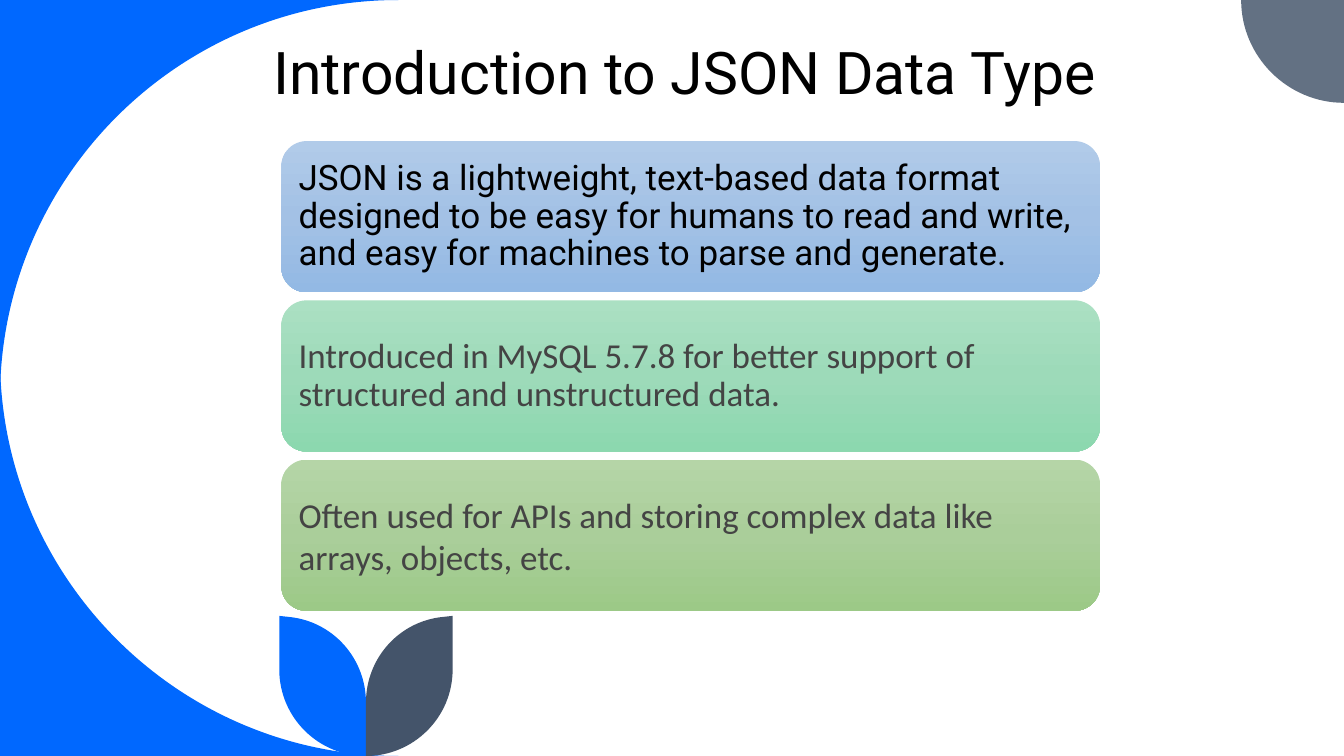
from copy import deepcopy

from pptx import Presentation
from pptx.dml.color import RGBColor
from pptx.enum import shapes, text
from pptx.oxml.ns import qn
from pptx.util import Inches, Pt

BLUE = RGBColor(0x00, 0x68, 0xFF)
GREY = RGBColor(0x63, 0x71, 0x83)
SLATE = RGBColor(0x44, 0x54, 0x6A)
BLACK = RGBColor(0x00, 0x00, 0x00)
CHARCOAL = RGBColor(0x44, 0x44, 0x44)
SKY = [RGBColor(0xB1, 0xCB, 0xE9), RGBColor(0xA3, 0xC1, 0xE5), RGBColor(0x93, 0xB9, 0xE4)]
MINT = [RGBColor(0xAB, 0xE0, 0xC3), RGBColor(0x9D, 0xDA, 0xB9), RGBColor(0x8C, 0xD8, 0xAF)]
LEAF = [RGBColor(0xB5, 0xD5, 0xA7), RGBColor(0xAA, 0xCE, 0x9A), RGBColor(0x9C, 0xC9, 0x87)]


def format_text(paragraph, words, color, font):
    span = paragraph.add_run()
    span.text = words
    for name, value in font.items():
        setattr(span.font, name, value)
    span.font.color.rgb = color


deck = Presentation()
deck.slide_width, deck.slide_height = Inches(13.33), Inches(7.5)
page = deck.slides.add_slide(deck.slide_layouts[5])

left_leaf = [
    (2.77, 6.11), (2.77, 6.64), (2.77, 7.12), (3.16, 7.5), (3.63, 7.5),
    (3.63, 6.97), (3.63, 6.53), (3.3, 6.16), (2.86, 6.12),
]
right_leaf = [(2 * 3.63 - x, y) for x, y in left_leaf]
decorations = [
    (BLUE, [2], [(0, 0), (3.95, 0), (1.77, 0), (0, 1.77), (0, 3.95)]),
    (BLUE, [2], [(0, 7.5), (0, 3.55), (0, 5.73), (1.77, 7.5), (3.95, 7.5)]),
    (GREY, [2], [(13.33, 0), (12.31, 0), (12.31, 0.56), (12.77, 1.02), (13.33, 1.02)]),
    (BLUE, [2, 6], left_leaf),
    (SLATE, [2, 6], right_leaf),
]
for color, bends, outline in decorations:
    points = [(Inches(x), Inches(y)) for x, y in outline]
    builder = page.shapes.build_freeform(*points[0])
    builder.add_line_segments(points[1:], close=True)
    decoration = builder.convert_to_shape()
    segments = decoration.element.xpath(".//a:path")[0]
    for bend in reversed(bends):
        curve, *others = segments[bend:bend + 3]
        curve.tag = qn("a:cubicBezTo")
        for other in others:
            curve.append(other[0])
            segments.remove(other)
    decoration.shadow.inherit = False
    decoration.fill.solid()
    decoration.fill.fore_color.rgb = color
    decoration.line.fill.background()

title = page.shapes.title
title.left, title.top, title.width, title.height = map(Inches, (2.61, 0.3, 9.56, 0.81))
title.text_frame.auto_size = text.MSO_AUTO_SIZE.SHAPE_TO_FIT_TEXT
title.text_frame.vertical_anchor = text.MSO_ANCHOR.TOP
heading = title.text_frame.paragraphs[0]
heading.alignment = text.PP_ALIGN.LEFT
format_text(heading, "Introduction to JSON Data Type", BLACK, {"name": "Roboto", "size": Pt(42)})

cards = [
    (SKY, "Roboto", BLACK, 0.9,
     "JSON is a lightweight, text-based data format designed to be easy for humans "
     "to read and write, and easy for machines to parse and generate."),
    (MINT, "Calibri", CHARCOAL, 0.9,
     "Introduced in MySQL 5.7.8 for better support of structured and unstructured data."),
    (LEAF, "Calibri", CHARCOAL, 1.0,
     "Often used for APIs and storing complex data like arrays, objects, etc."),
]
for row, (shades, font_name, color, spacing, words) in enumerate(cards):
    card = page.shapes.add_shape(
        shapes.MSO_SHAPE.ROUNDED_RECTANGLE,
        Inches(2.79), Inches(1.4 + 1.58 * row), Inches(8.12), Inches(1.5))
    card.shadow.inherit = False
    card.line.fill.background()
    card.fill.gradient()
    card.fill.gradient_angle = 270
    stop_list = card.element.xpath(".//a:gsLst")[0]
    stop_list.insert(1, deepcopy(stop_list[0]))
    for stop, position, shade in zip(card.fill.gradient_stops, (0, 0.5, 1), shades):
        stop.position = position
        stop.color.rgb = shade

    frame = card.text_frame
    frame.word_wrap = True
    frame.vertical_anchor = text.MSO_ANCHOR.MIDDLE
    for side in ("left", "top", "right", "bottom"):
        setattr(frame, f"margin_{side}", Inches(0.1))
    para = frame.paragraphs[0]
    para.alignment = text.PP_ALIGN.LEFT
    para.line_spacing = spacing
    format_text(para, words, color, {"name": font_name, "size": Pt(25)})

deck.save("out.pptx")
